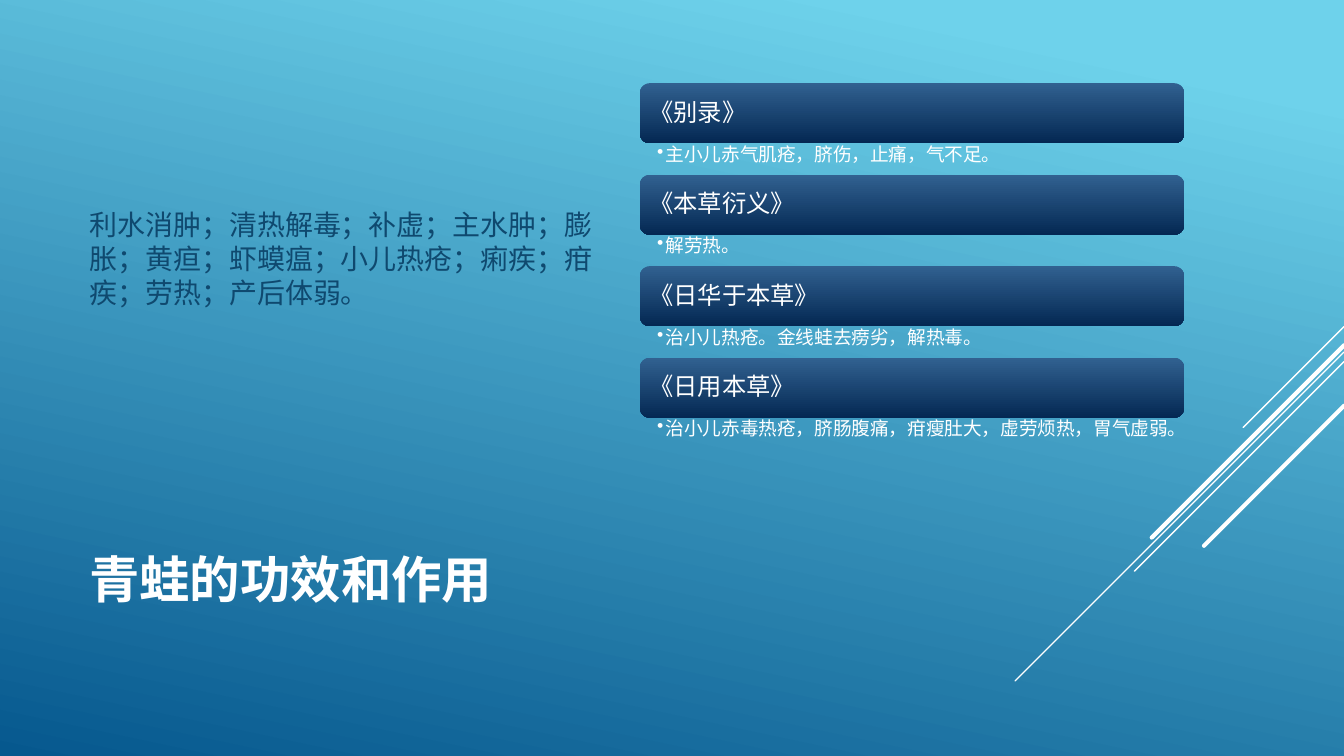
"""Build a slide on the medicinal uses of frogs, with four cited herbals."""
from dataclasses import dataclass

from lxml import etree
from pptx import Presentation
from pptx.dml.color import RGBColor
from pptx.enum.shapes import MSO_CONNECTOR, MSO_SHAPE
from pptx.enum.text import MSO_ANCHOR, MSO_AUTO_SIZE, PP_ALIGN
from pptx.oxml.ns import qn
from pptx.util import Pt

STRAIGHT = MSO_CONNECTOR.STRAIGHT
ROUNDED = MSO_SHAPE.ROUNDED_RECTANGLE
TOP, MIDDLE = MSO_ANCHOR.TOP, MSO_ANCHOR.MIDDLE
LEFT = PP_ALIGN.LEFT
NO_FIT = MSO_AUTO_SIZE.NONE

FONT = "League Spartan"
COLOURS = {
    "sky": "6ED2EB",
    "deep": "06588E",
    "card_top": "316190",
    "card_bottom": "042853",
    "body": "0F496F",
    "white": "FFFFFF",
}

SLIDE_WIDTH, SLIDE_HEIGHT = 720, 405
CARD_LEFT, CARD_TOP, CARD_PITCH = 342.8, 44.6, 49
CARD_WIDTH, CARD_HEIGHT = 291.6, 32.2
DETAIL_OFFSET = 31.8


@dataclass
class Ray:
    """A diagonal line from the right edge down to the left."""
    top: float
    run: float
    weight: float


@dataclass
class Citation:
    """A herbal and what it says."""
    book: str
    claim: str
    claim_height: float = 17.2


RAYS = [
    Ray(175, 54, 0.75),
    Ray(188.6, 176.2, 0.75),
    Ray(193.7, 112.3, 0.75),
    Ray(185, 103, 2.25),
    Ray(217.4, 75, 2.25),
]

CITATIONS = [
    Citation("《别录》", "主小儿赤气肌疮，脐伤，止痛，气不足。"),
    Citation("《本草衍义》", "解劳热。"),
    Citation("《日华于本草》", "治小儿热疮。金线蛙去痨劣，解热毒。"),
    Citation("《日用本草》", "治小儿赤毒热疮，脐肠腹痛，疳瘦肚大，虚劳烦热，胃气虚弱。", 26.6),
]


def colour(name: str) -> RGBColor:
    """Look up a palette colour."""
    return RGBColor.from_string(COLOURS[name])


def fill_gradient(fill, stops, angle: float) -> None:
    """Apply a two-stop linear gradient with a clockwise angle."""
    fill.gradient()
    fill.gradient_angle = (360 - angle) % 360
    for stop, (position, name) in zip(fill.gradient_stops, stops):
        stop.position = position
        stop.color.rgb = colour(name)


def place(shape, left: float, top: float, width: float, height: float) -> None:
    """Move and size a shape in points."""
    shape.left, shape.top = Pt(left), Pt(top)
    shape.width, shape.height = Pt(width), Pt(height)


def write_text(shape, text: str, *, size: float, color: str = "white", bold: bool = False,
               anchor=MIDDLE, insets=(7.2, 3.6, 7.2, 3.6), spacing: float = 1.0,
               level: int = 0, bullet: str = "", indent: float = 0) -> None:
    """Write one formatted paragraph into a shape."""
    frame = shape.text_frame
    frame.word_wrap = True
    frame.auto_size = NO_FIT
    frame.vertical_anchor = anchor
    frame.margin_left, frame.margin_top, frame.margin_right, frame.margin_bottom = map(Pt, insets)
    paragraph = frame.paragraphs[0]
    paragraph.text = text
    paragraph.level = level
    paragraph.alignment = LEFT
    paragraph.line_spacing = spacing
    paragraph.space_before = Pt(0)
    properties = paragraph._p.get_or_add_pPr()
    properties.set("marL", str(Pt(indent)))
    properties.set("indent", str(-Pt(indent)))
    if bullet:
        etree.SubElement(properties, qn("a:buChar")).set("char", bullet)
    else:
        etree.SubElement(properties, qn("a:buNone"))
    font = paragraph.runs[0].font
    font.name, font.size, font.bold = FONT, Pt(size), bold
    font.color.rgb = colour(color)


def add_ray(slide, ray: Ray) -> None:
    """Draw a round-capped line at 45 degrees."""
    connector = slide.shapes.add_connector(
        STRAIGHT, Pt(SLIDE_WIDTH), Pt(ray.top), Pt(SLIDE_WIDTH - ray.run), Pt(ray.top + ray.run))
    connector.line.color.rgb = colour("white")
    connector.line.width = Pt(ray.weight)
    properties = connector._element.spPr
    properties.find(qn("a:ln")).set("cap", "rnd")
    etree.SubElement(properties, qn("a:effectLst"))


def add_citation(slide, citation: Citation, top: float) -> None:
    """Draw a card with the book's name and its claim below."""
    shapes = slide.shapes
    card = shapes.add_shape(ROUNDED, Pt(CARD_LEFT), Pt(top), Pt(CARD_WIDTH), Pt(CARD_HEIGHT))
    card.shadow.inherit = False
    card.line.fill.background()
    fill_gradient(card.fill, [(0, "card_top"), (1, "card_bottom")], 90)
    book = shapes.add_textbox(
        Pt(CARD_LEFT + 1.6), Pt(top + 1.6), Pt(CARD_WIDTH - 3.2), Pt(CARD_HEIGHT - 3.2))
    write_text(book, citation.book, size=13, insets=(3.6, 3.6, 3.6, 3.6), spacing=0.9)
    claim = shapes.add_textbox(
        Pt(CARD_LEFT), Pt(top + DETAIL_OFFSET), Pt(CARD_WIDTH), Pt(citation.claim_height))
    write_text(claim, citation.claim, size=10, anchor=TOP, insets=(9.3, 1.3, 7.2, 1.3),
               spacing=0.9, level=1, bullet="•", indent=4.5)


def main() -> None:
    """Build and save the slide."""
    presentation = Presentation()
    presentation.slide_width, presentation.slide_height = Pt(SLIDE_WIDTH), Pt(SLIDE_HEIGHT)
    slide = presentation.slides.add_slide(presentation.slide_layouts[1])
    fill_gradient(slide.background.fill, [(0.1, "sky"), (1, "deep")], 102)

    for ray in RAYS:
        add_ray(slide, ray)

    title, body = slide.shapes.title, slide.placeholders[1]
    place(title, 40.5, 265, 504, 89.3)
    write_text(title, "青蛙的功效和作用", size=27, bold=True)
    place(body, 40.5, 40.5, 291.6, 213.8)
    write_text(body, "利水消肿；清热解毒；补虚；主水肿；膨胀；黄疸；虾蟆瘟；小儿热疮；痢疾；疳疾；劳热；产后体弱。",
               size=15, color="body", insets=(7.2, 3.6, 7.2, 21.6))

    for index, citation in enumerate(CITATIONS):
        add_citation(slide, citation, CARD_TOP + index * CARD_PITCH)

    presentation.save("out.pptx")


if __name__ == "__main__":
    main()
